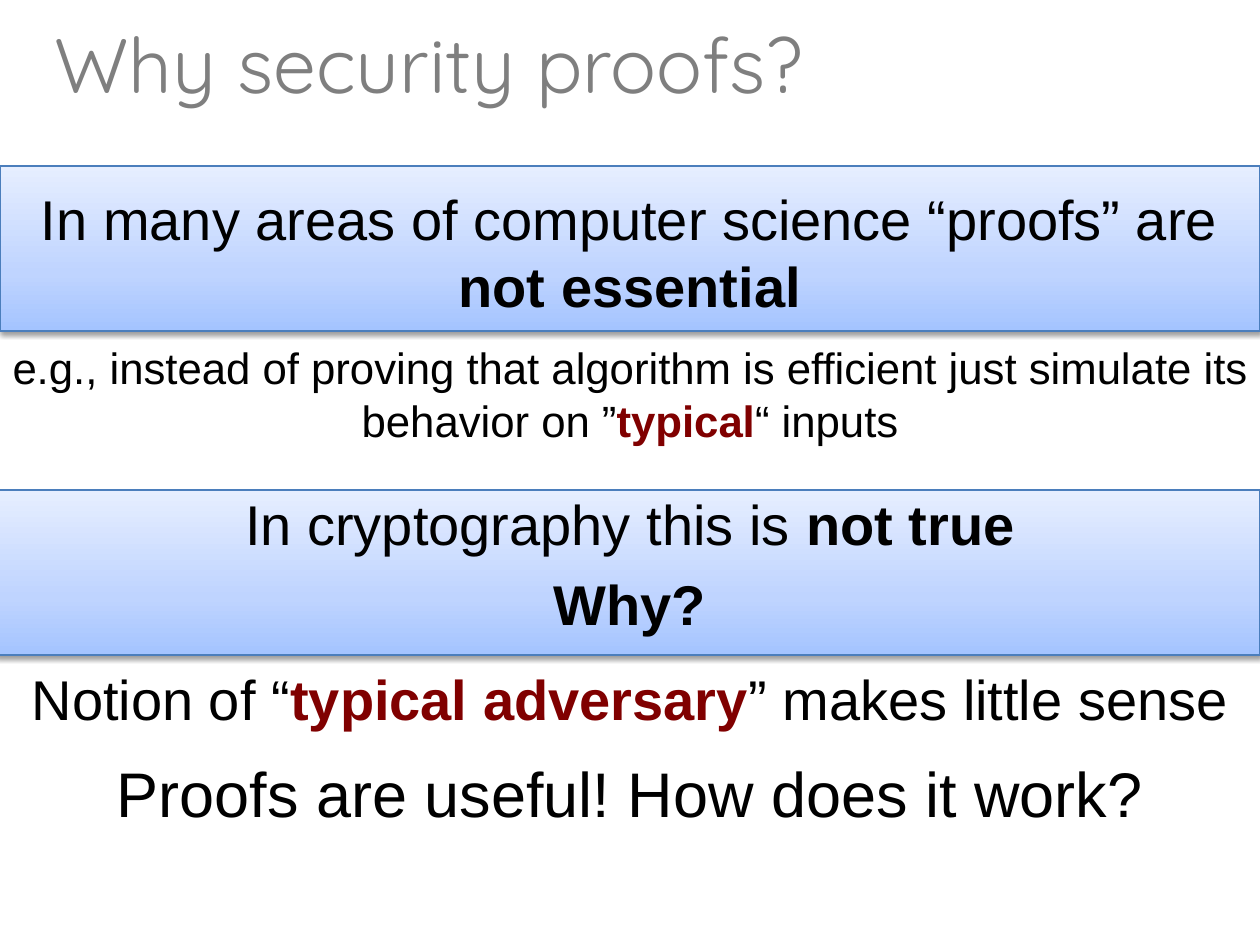
from dataclasses import dataclass

from lxml import etree
from pptx import Presentation
from pptx.dml.color import RGBColor
from pptx.enum.shapes import MSO_SHAPE
from pptx.enum.text import MSO_ANCHOR, MSO_AUTO_SIZE, PP_ALIGN
from pptx.oxml.ns import qn
from pptx.util import Emu, Pt

RECTANGLE = MSO_SHAPE.RECTANGLE
MIDDLE, TOP = MSO_ANCHOR.MIDDLE, MSO_ANCHOR.TOP
NO_FIT = MSO_AUTO_SIZE.NONE
LEFT, CENTER = PP_ALIGN.LEFT, PP_ALIGN.CENTER

PX_PER_INCH = 126
PAGE_WIDTH, PAGE_HEIGHT = 1260, 945


@dataclass(frozen=True)
class Theme:
    title_font: str = "Quicksand"
    body_font: str = "Arial"
    title_color: str = "7F7F7F"
    text_color: str = "000000"
    accent: str = "800000"
    band_line: str = "4B7EBC"
    band_stops: tuple = ((0, "A4C4FF"), (35, "BFD4FF"), (100, "E6EEFF"))
    title_size: int = 44
    closing_size: int = 36
    statement_size: int = 32
    example_size: int = 25


def px(value):
    return Emu(round(value * 914400 / PX_PER_INCH))


def add_node(parent, tag, **attributes):
    values = {name: str(int(value)) if not isinstance(value, str) else value
              for name, value in attributes.items()}
    return etree.SubElement(parent, qn(tag), values)


class SlideBuilder:
    def __init__(self, deck, theme):
        self.theme = theme
        self.page = deck.slides.add_slide(deck.slide_layouts[5])

    def fill_text(self, box, spans, size, font, align, anchor):
        """Fill a box with one paragraph of (text, color, bold) spans."""
        frame = box.text_frame
        settings = {"word_wrap": True, "auto_size": NO_FIT, "vertical_anchor": anchor}
        for name, value in settings.items():
            setattr(frame, name, value)
        para = frame.paragraphs[0]
        para.alignment = align
        for text, color, bold in spans:
            span = para.add_run()
            span.text = text
            for name, value in {"name": font, "size": Pt(size), "bold": bold}.items():
                setattr(span.font, name, value)
            span.font.color.rgb = RGBColor.from_string(color)

    def title(self, text, left, top, width, height):
        box = self.page.shapes.title
        frame = {"left": left, "top": top, "width": width, "height": height}
        for name, value in frame.items():
            setattr(box, name, px(value))
        theme = self.theme
        self.fill_text(box, [(text, theme.title_color, False)],
                       theme.title_size, theme.title_font, LEFT, MIDDLE)

    def band(self, left, top, width, height):
        """Draw a gradient strip with a soft shadow below it."""
        box = self.page.shapes.add_shape(
            RECTANGLE, px(left), px(top), px(width), px(height))
        box.line.color.rgb = RGBColor.from_string(self.theme.band_line)
        box.line.width = Pt(0.75)
        box.fill.gradient()
        box.fill.gradient_angle = 90
        properties = box.element.spPr
        stops = properties.find(qn("a:gradFill")).find(qn("a:gsLst"))
        stops.clear()
        for percent, color in self.theme.band_stops:
            stop = add_node(stops, "a:gs", pos=percent * 1000)
            add_node(stop, "a:srgbClr", val=color)
        box.shadow.inherit = False
        shadow = add_node(properties.find(qn("a:effectLst")), "a:outerShdw",
                          blurRad=Pt(3.1), dist=Pt(1.6), dir=90 * 60000, rotWithShape=0)
        color = add_node(shadow, "a:srgbClr", val="000000")
        add_node(color, "a:alpha", val=38000)

    def text(self, top, height, size, *spans):
        """Add a centred text box across the whole page."""
        box = self.page.shapes.add_textbox(0, px(top), px(PAGE_WIDTH), px(height))
        self.fill_text(box, spans, size, self.theme.body_font, CENTER, TOP)


def main():
    deck = Presentation()
    deck.slide_width, deck.slide_height = px(PAGE_WIDTH), px(PAGE_HEIGHT)
    theme = Theme()
    slide = SlideBuilder(deck, theme)

    def plain(text):
        return text, theme.text_color, False

    def strong(text):
        return text, theme.text_color, True

    def accent(text):
        return text, theme.accent, True

    slide.title("Why security proofs?", 42, 10, 1081, 106)
    slide.band(-4, 490, 1264, 165)
    slide.band(0, 166, PAGE_WIDTH, 165)

    statement = theme.statement_size
    slide.text(178, 149, statement,
               plain("In many areas of computer science “proofs” are "),
               strong("not essential"))
    slide.text(335, 123, theme.example_size,
               plain("e.g., instead of proving that algorithm is efficient "
                     "just simulate its behavior on ”"),
               accent("typical"), plain("“ inputs"))
    slide.text(483, 81, statement,
               plain("In cryptography this is "), strong("not true"))
    slide.text(563, 81, statement, strong("Why?"))
    slide.text(658, 81, statement, plain("Notion of “"),
               accent("typical adversary"), plain("” makes little sense"))
    slide.text(748, 89, theme.closing_size,
               plain("Proofs are useful! How does it work?"))
    deck.save("out.pptx")


if __name__ == "__main__":
    main()
